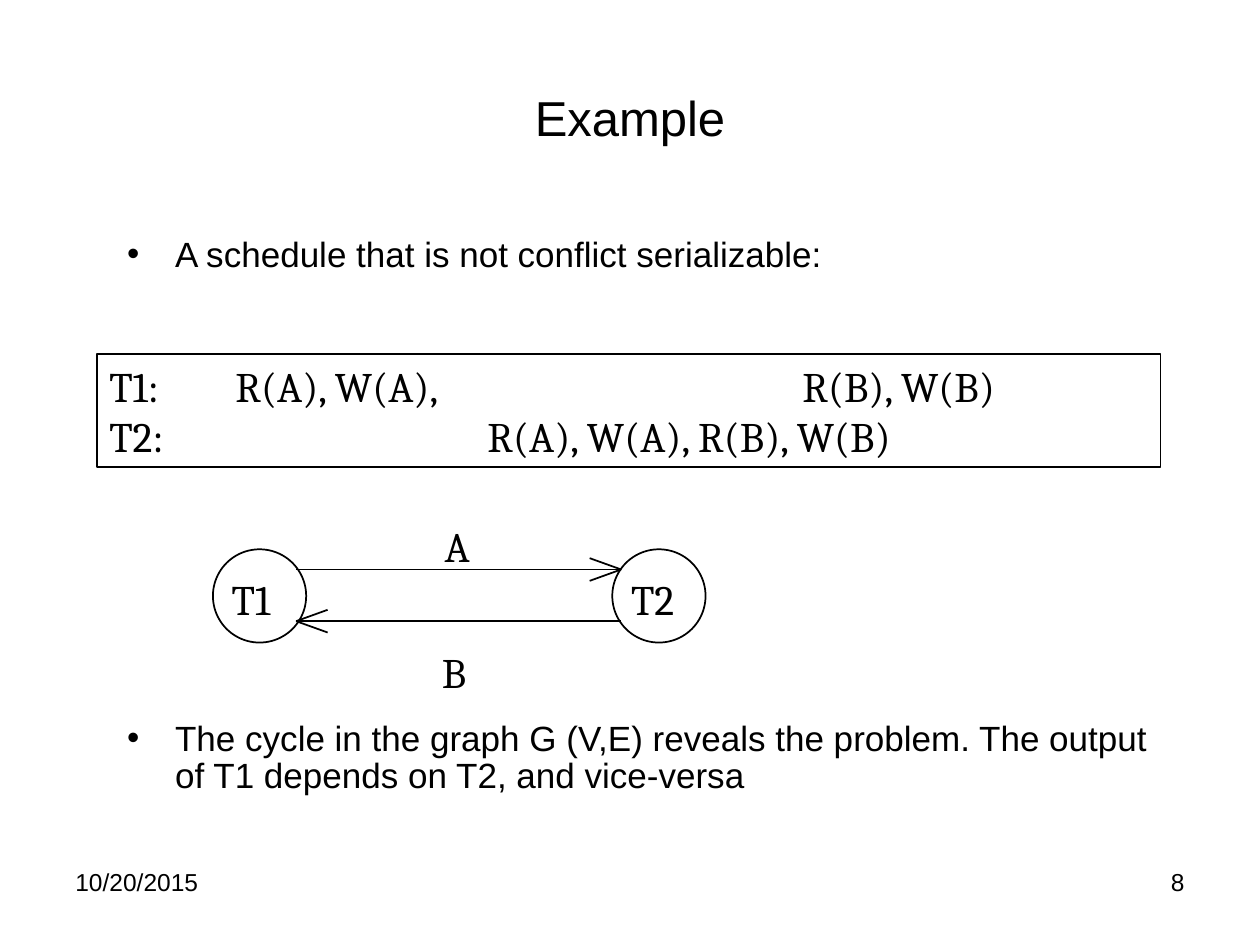
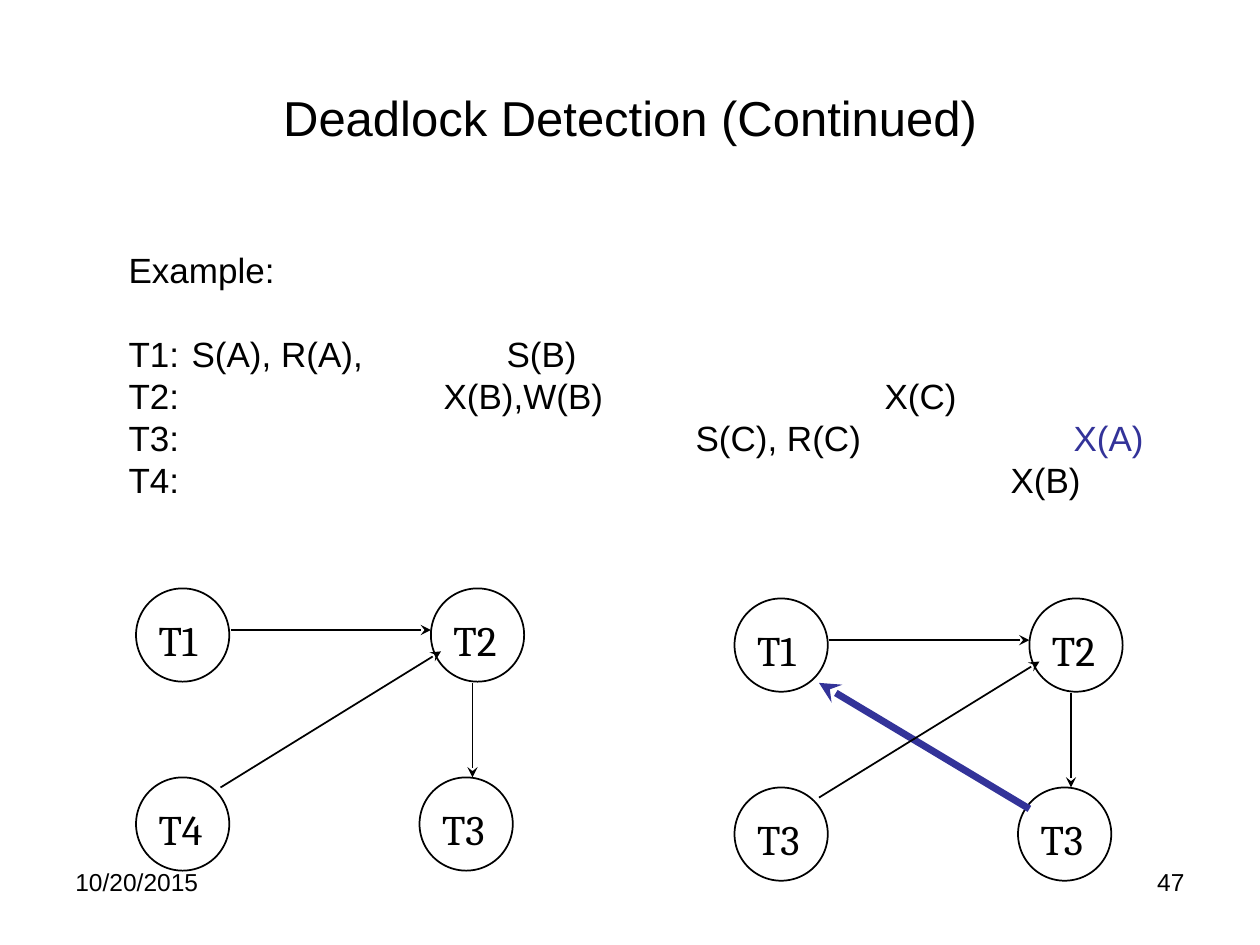
from dataclasses import dataclass

from lxml.etree import SubElement
from pptx import Presentation
from pptx.dml.color import RGBColor
from pptx.enum.shapes import MSO_CONNECTOR as Link, MSO_SHAPE as Preset
from pptx.enum.text import MSO_ANCHOR as Anchor, MSO_AUTO_SIZE as AutoSize, PP_ALIGN as Align
from pptx.oxml.ns import qn
from pptx.util import Inches, Pt


@dataclass(frozen=True)
class Theme:
    ink: RGBColor = RGBColor(0, 0, 0)
    accent: RGBColor = RGBColor(0x33, 0x33, 0x99)
    sans: str = "Arial"
    serif: str = "Cambria"
    title: int = 28
    body: int = 20
    diagram: int = 24
    footer: int = 14
    thin: int = 1
    thick: int = 4


THEME = Theme()
DATE = "10/20/2015"
NODE_SIZE = 0.74
LABEL_SIZE = (0.59, 0.5)

CONFLICT = {
    "title": "Example",
    "number": "8",
    "bullets": [
        ("A schedule that is not conflict serializable:", 0),
        ("The cycle in the graph G (V,E) reveals the problem. "
         "The output of T1 depends on T2, and vice-versa", 255),
    ],
    "schedule": [
        ("T1:", [(2, "R(A), W(A),"), (6, "R(B), W(B)")]),
        ("T2:", [(6, "R(A), W(A), R(B), W(B)")]),
    ],
    "nodes": [("T1", 1.69, 4.36), ("T2", 4.86, 4.36)],
    "arrows": [((4.93, 4.93), (2.35, 4.93)), ((2.35, 4.52), (4.93, 4.52))],
    "edge_labels": [("A", 3.43, 4.08), ("B", 3.41, 5.08)],
}

DEADLOCK = {
    "title": "Deadlock Detection (Continued)",
    "number": "47",
    "heading": "Example:",
    "schedule": [
        ("T1:", [(1, "S(A), R(A),"), (3, "S(B)")]),
        ("T2:", [(5, "X(B),W(B)"), (5, "X(C)")]),
        ("T3:", [(9, "S(C), R(C)"), (4, "X(A)")]),
        ("T4:", [(14, "X(B)")]),
    ],
    "closing_step": ("T3:", "X(A)"),
    "graphs": [
        {"origin": (1.08, 4.67), "names": ("T1", "T2", "T4", "T3"), "cycle": False},
        {"origin": (5.83, 4.75), "names": ("T1", "T2", "T3", "T3"), "cycle": True},
    ],
}
NODE_OFFSETS = [(0, 0), (2.34, 0), (0, 1.5), (2.25, 1.5)]
WAITS = [
    ((0.75, 0.33), (2.34, 0.33), False),
    ((2.67, 0.75), (2.67, 1.5), False),
    ((2.34, 1.67), (0.67, 0.67), True),
    ((0.67, 1.58), (2.42, 0.5), False),
]


def set_font(font, size, family, color=THEME.ink):
    font.size = Pt(size)
    font.name = family
    font.color.rgb = color


def set_frame(frame, wrap=True, anchor=Anchor.TOP):
    frame.auto_size = AutoSize.NONE
    frame.word_wrap = wrap
    frame.vertical_anchor = anchor
    return frame


def place(shape, left, top, width, height):
    shape.left, shape.top = Inches(left), Inches(top)
    shape.width, shape.height = Inches(width), Inches(height)


def paragraph_at(frame, index):
    return frame.paragraphs[0] if index == 0 else frame.add_paragraph()


def set_indent(paragraph, bullet=None):
    props = paragraph._p.get_or_add_pPr()
    margin = Inches(0.38) if bullet else 0
    props.set("marL", str(margin))
    props.set("indent", str(-margin))
    if bullet:
        SubElement(props, qn("a:buChar"), char=bullet)
    else:
        SubElement(props, qn("a:buNone"))


def add_label(slide, text, left, top, size, points=THEME.diagram,
              family=THEME.serif, align=Align.LEFT, wrap=False):
    box = slide.shapes.add_textbox(Inches(left), Inches(top), *map(Inches, size))
    label = set_frame(box.text_frame, wrap).paragraphs[0]
    label.text = text
    label.alignment = align
    set_font(label.font, points, family)


def start_slide(deck, content, body_place):
    slide = deck.slides.add_slide(deck.slide_layouts[1])
    title = slide.shapes.title
    place(title, 0.5, 0.3, 9, 1.25)
    heading = set_frame(title.text_frame, anchor=Anchor.MIDDLE).paragraphs[0]
    heading.text = content["title"]
    heading.alignment = Align.CENTER
    set_font(heading.font, THEME.title, THEME.sans)
    body = slide.placeholders[1]
    place(body, *body_place)
    return slide, set_frame(body.text_frame)


def add_footer(slide, number):
    for text, left, align in ((number, 7.17, Align.RIGHT), (DATE, 0.5, Align.LEFT)):
        add_label(slide, text, left, 6.83, (2.33, 0.52), THEME.footer, THEME.sans, align, True)


def write_steps(paragraph, name, steps, size, family, accented=None):
    set_indent(paragraph)
    paragraph.add_run().text = name
    for tab_count, step in steps:
        paragraph.add_run().text = "\t" * tab_count
        run = paragraph.add_run()
        run.text = step
        if (name, step) == accented:
            run.font.color.rgb = THEME.accent
    paragraph.alignment = Align.LEFT
    set_font(paragraph.font, size, family)


def add_outline(slide, preset, left, top, width, height):
    outline = slide.shapes.add_shape(preset, *map(Inches, (left, top, width, height)))
    outline.shadow.inherit = False
    outline.fill.background()
    outline.line.color.rgb = THEME.ink
    outline.line.width = Pt(THEME.thin)
    return outline


def add_nodes(slide, nodes, label_offset):
    dx, dy = label_offset
    for _, left, top in nodes:
        add_outline(slide, Preset.OVAL, left, top, NODE_SIZE, NODE_SIZE)
    for name, left, top in nodes:
        add_label(slide, name, left + dx, top + dy, LABEL_SIZE)


def add_line(slide, start, end, color=THEME.ink, width=THEME.thin, head=None):
    line = slide.shapes.add_connector(Link.STRAIGHT, *map(Inches, (*start, *end)))
    line.line.color.rgb = color
    line.line.width = Pt(width)
    if head:
        SubElement(line.line._get_or_add_ln(), qn("a:tailEnd"), type=head)
    SubElement(line._element.spPr, qn("a:effectLst"))


def add_open_arrow(slide, start, tip):
    add_line(slide, start, tip)
    back = 0.25 if start[0] > tip[0] else -0.25
    for rise in (-0.09, 0.09):
        add_line(slide, (tip[0] + back, tip[1] + rise), tip)


def build_conflict(deck):
    slide, body = start_slide(deck, CONFLICT, (0.91, 1.83, 8.5, 5.08))
    for index, (text, gap) in enumerate(CONFLICT["bullets"]):
        bullet = paragraph_at(body, index)
        bullet.text = text
        set_indent(bullet, "•")
        bullet.line_spacing = 0.9
        bullet.space_before = Pt(gap)
        set_font(bullet.font, THEME.body, THEME.sans)

    schedule = add_outline(slide, Preset.RECTANGLE, 0.77, 2.81, 8.44, 0.9)
    frame = set_frame(schedule.text_frame)
    for index, (name, steps) in enumerate(CONFLICT["schedule"]):
        write_steps(paragraph_at(frame, index), name, steps, THEME.diagram, THEME.serif)

    add_nodes(slide, CONFLICT["nodes"], (0.05, 0.14))
    for start, tip in CONFLICT["arrows"]:
        add_open_arrow(slide, start, tip)
    for text, left, top in CONFLICT["edge_labels"]:
        add_label(slide, text, left, top, (0.43, 0.5))
    add_footer(slide, CONFLICT["number"])


def build_deadlock(deck):
    slide, body = start_slide(deck, DEADLOCK, (0.92, 1.92, 8.5, 2.5))
    rows = [(DEADLOCK["heading"], [])] + DEADLOCK["schedule"]
    for index, (name, steps) in enumerate(rows):
        row = paragraph_at(body, index)
        write_steps(row, name, steps, THEME.body, THEME.sans, DEADLOCK["closing_step"])
        row.line_spacing = 1.0
        row.space_before = Pt(24 if index == 1 else 0)

    for graph in DEADLOCK["graphs"]:
        left, top = graph["origin"]
        nodes = [(name, left + dx, top + dy)
                 for name, (dx, dy) in zip(graph["names"], NODE_OFFSETS)]
        add_nodes(slide, nodes, (0.08, 0.16))
        for start, end, closes_cycle in WAITS:
            if closes_cycle and not graph["cycle"]:
                continue
            color, width = ((THEME.accent, THEME.thick) if closes_cycle
                            else (THEME.ink, THEME.thin))
            add_line(slide, (left + start[0], top + start[1]),
                     (left + end[0], top + end[1]), color, width, "stealth")
    add_footer(slide, DEADLOCK["number"])


def main():
    deck = Presentation()
    deck.slide_width, deck.slide_height = Inches(10), Inches(7.5)
    build_conflict(deck)
    build_deadlock(deck)
    deck.save("out.pptx")


if __name__ == "__main__":
    main()
